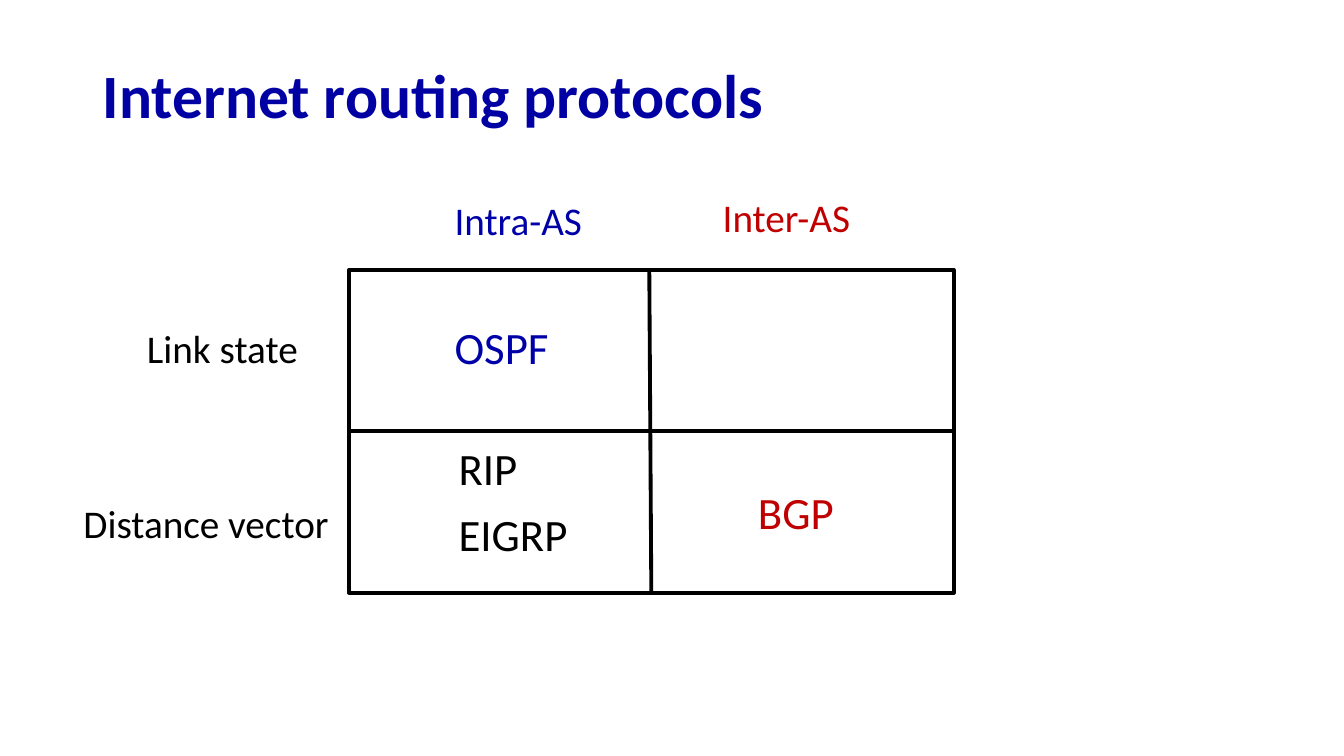
"""Builds a slide that sorts Internet routing protocols into a two by two grid."""
from pptx import Presentation
from pptx.dml.color import RGBColor
from pptx.enum.shapes import MSO_CONNECTOR as CONN, MSO_SHAPE as SHAPE
from pptx.enum.text import MSO_ANCHOR as ANCHOR
from pptx.oxml.ns import qn
from pptx.util import Inches, Pt

TITLE_BLUE = RGBColor(0x00, 0x00, 0xA3)
BLUE = RGBColor(0x00, 0x00, 0xA8)
RED = RGBColor(0xC0, 0x00, 0x00)
BLACK = RGBColor(0x00, 0x00, 0x00)
LINE_WIDTH = Pt(2.75)
LABEL, ENTRY = 28, 32
GRID_X, GRID_Y, COL, ROW = 3.46, 2.68, 3, 1.6
RIGHT, BOTTOM = GRID_X + 2 * COL, GRID_Y + 2 * ROW
MID_X, MID_Y = GRID_X + COL, GRID_Y + ROW

prs = Presentation()
prs.slide_width, prs.slide_height = Inches(13.33), Inches(7.5)
s = prs.slides.add_slide(prs.slide_layouts[6])


def add_text(text, x, y, w, h, size, color):
    sp = s.shapes.add_textbox(Inches(x), Inches(y), Inches(w), Inches(h))
    sp.text_frame.word_wrap = True
    p = sp.text_frame.paragraphs[0]
    p.text = text
    p.line_spacing = 0.9
    p.font.name, p.font.size, p.font.color.rgb = "Calibri", Pt(size), color
    return sp.text_frame, p


tf, p = add_text("Internet routing protocols", 0.92, 0.49, 11.5, 0.98, 44, TITLE_BLUE)
tf.vertical_anchor = ANCHOR.MIDDLE
p.font.bold = True

grid = s.shapes.add_shape(SHAPE.RECTANGLE, Inches(GRID_X), Inches(GRID_Y),
                          Inches(2 * COL), Inches(2 * ROW))
grid.shadow.inherit = False
grid.fill.background()
grid.line.color.rgb, grid.line.width = BLACK, LINE_WIDTH

row_line = s.shapes.add_connector(CONN.STRAIGHT, Inches(GRID_X), Inches(MID_Y),
                                  Inches(RIGHT), Inches(MID_Y))
row_line.begin_connect(grid, 1)
row_line.end_connect(grid, 3)
col_line = s.shapes.add_connector(CONN.STRAIGHT, Inches(MID_X - 0.02), Inches(GRID_Y),
                                  Inches(MID_X), Inches(BOTTOM))
col_line.end_connect(grid, 2)
for line in (row_line, col_line):
    line.line.color.rgb, line.line.width = BLACK, LINE_WIDTH
    sp_pr = line.element.spPr
    sp_pr.append(sp_pr.makeelement(qn("a:effectLst"), {}))

for text, x, y, w, size, color in (
    ("Inter-AS", 6.56, 1.92, 2.27, LABEL, RED),
    ("Intra-AS", 3.9, 1.95, 2.27, LABEL, BLUE),
    ("Link state", 0.85, 3.22, 2.73, LABEL, BLACK),
    ("Distance vector", 0.22, 4.96, 3.6, LABEL, BLACK),
    ("OSPF", 3.9, 3.18, 2.19, ENTRY, BLUE),
    ("RIP", 3.94, 4.38, 2.73, ENTRY, BLACK),
    ("EIGRP", 3.94, 5.04, 2.73, ENTRY, BLACK),
    ("BGP", 6.91, 4.82, 2.73, ENTRY, RED),
):
    tf, p = add_text(text, x, y, w, 0.7, size, color)
    p.level = 1
    p.space_before = Pt(5)
    p_pr = p._p.get_or_add_pPr()
    p_pr.set("marL", str(Inches(0.51)))
    p_pr.set("indent", "0")

prs.save("out.pptx")
